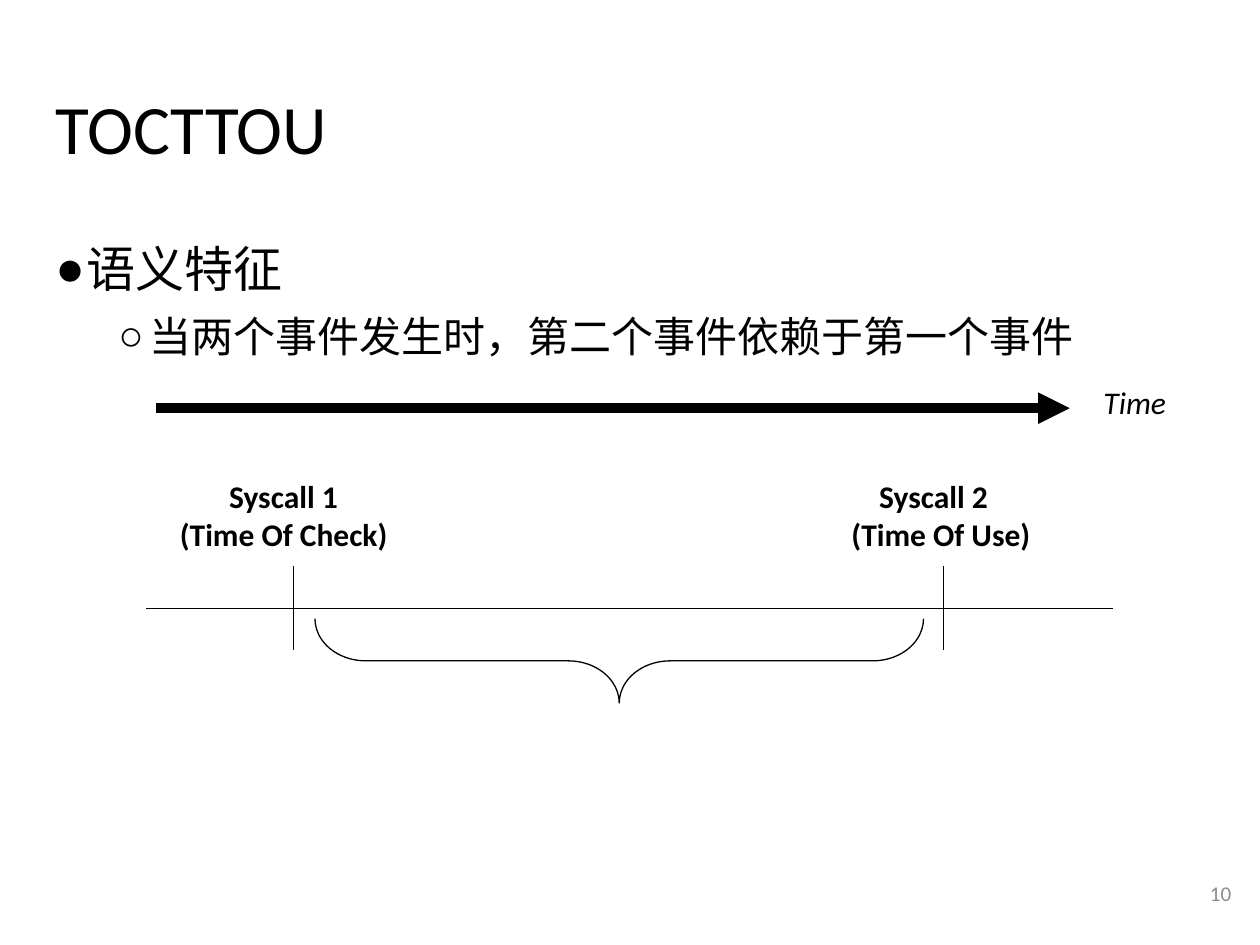
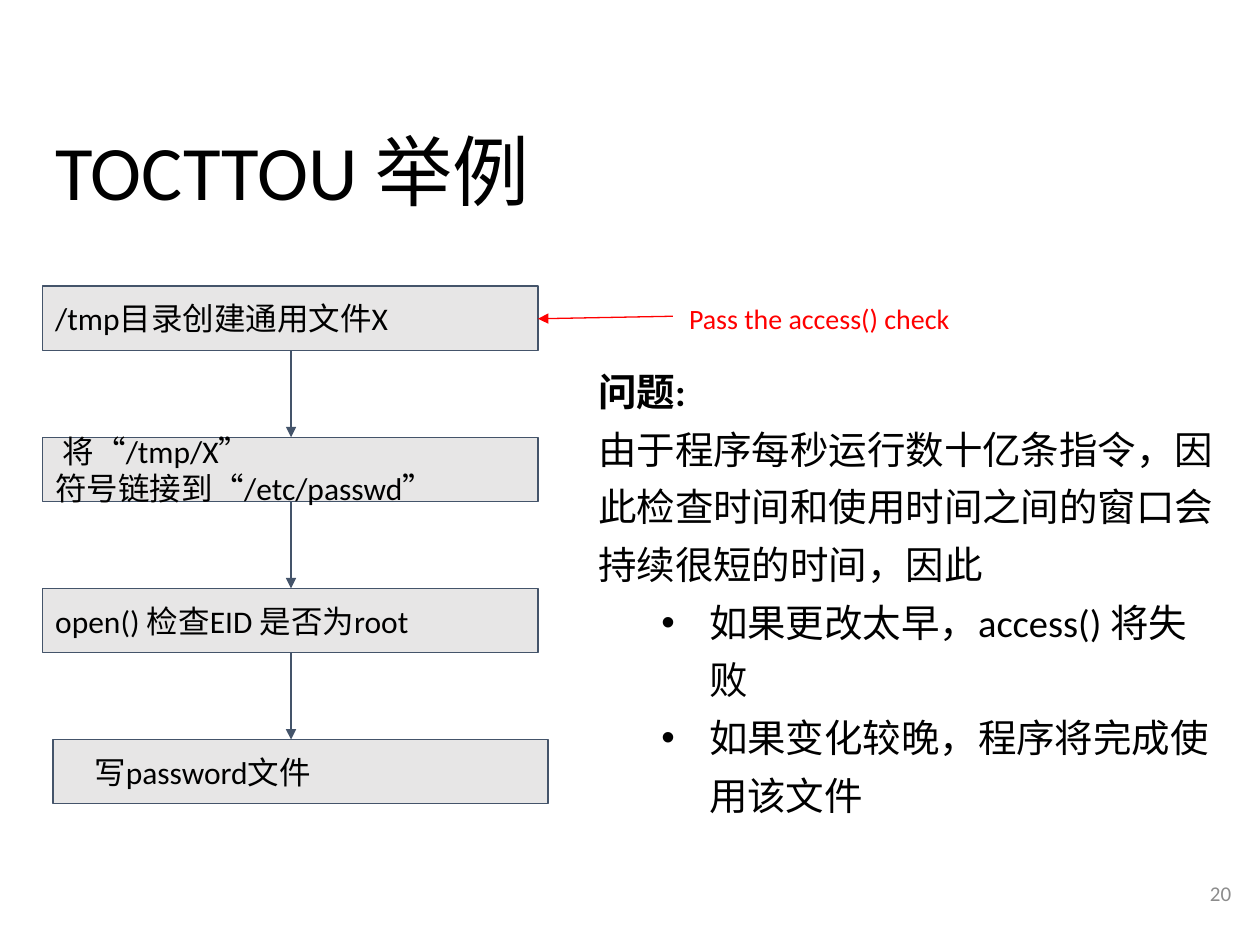
"""Build two slides on TOCTTOU: its semantics and a worked example."""
from itertools import pairwise

from pptx import Presentation
from pptx.dml.color import RGBColor as RGB
from pptx.enum.shapes import MSO_CONNECTOR as Link, MSO_SHAPE as Shape
from pptx.enum.text import MSO_ANCHOR as Anchor, MSO_AUTO_SIZE as Auto, PP_ALIGN as Align
from pptx.oxml.ns import qn
from pptx.util import Inches, Pt
from lxml.etree import SubElement as Sub

theme = {
    "font": "Calibri",
    "ink": RGB(0, 0, 0), "red": RGB(255, 0, 0), "edge": RGB(0x44, 0x54, 0x6A),
    "fill": RGB(0xE7, 0xE6, 0xE6), "page": RGB(0x8C, 0x8C, 0x8C),
    "head": 28, "point": 24, "prose": 22, "label": 18, "note": 16, "foot": 12,
}


def write(shape, rows, size, color="ink", pad=0.1, anchor=Anchor.TOP):
    """Fill a shape with rows of (text, format) pairs."""
    frame = shape.text_frame
    look = {"word_wrap": True, "auto_size": Auto.NONE, "vertical_anchor": anchor,
            "margin_left": Inches(0.1), "margin_right": Inches(0.1),
            "margin_top": Inches(pad), "margin_bottom": Inches(pad)}
    for key, value in look.items():
        setattr(frame, key, value)
    for i, (text, form) in enumerate(rows):
        para = frame.add_paragraph() if i else frame.paragraphs[0]
        para.text = text
        para.alignment = form.get("align", Align.LEFT)
        para.line_spacing = form.get("gap", 1.0)
        para.space_before = Pt(0)
        prop = para._p.get_or_add_pPr()
        left, first = form.get("dent", (0, 0))
        prop.set("marL", str(Inches(left)))
        prop.set("indent", str(Inches(first)))
        if "mark" in form:
            Sub(prop, qn("a:buFont"), typeface="Arial")
            Sub(prop, qn("a:buChar"), char=form["mark"])
        else:
            Sub(prop, qn("a:buNone"))
        face = {"name": theme["font"], "size": Pt(form.get("size", size)),
                "bold": form.get("bold", False), "italic": form.get("italic", False)}
        for run in para.runs:
            for key, value in face.items():
                setattr(run.font, key, value)
            run.font.color.rgb = theme[color]


def draw(slide, ends, color="ink", width=0.75, arrow=False):
    """Draw a straight line, with an arrowhead at its end if asked."""
    line = slide.shapes.add_connector(Link.STRAIGHT, *map(Inches, ends))
    line.line.color.rgb = theme[color]
    line.line.width = Pt(width)
    if arrow:
        Sub(line.line._get_or_add_ln(), qn("a:tailEnd"), type="triangle")
    Sub(line._element.spPr, qn("a:effectLst"))


deck = Presentation()
deck.slide_width, deck.slide_height = Inches(10), Inches(7.5)

slides = []
for name, top, high, size, page in [("TOCTTOU", 0.65, 0.84, 39.6, "10"),
                                    ("TOCTTOU 举例", 0.96, 0.63, 44, "20")]:
    slide = deck.slides.add_slide(deck.slide_layouts[5])
    title = slide.shapes.title
    place = {"left": 0.34, "top": top, "width": 9.32, "height": high}
    for key, value in place.items():
        setattr(title, key, Inches(value))
    write(title, [(name, {"gap": 0.9})], size)
    foot = slide.shapes.add_textbox(*map(Inches, (9.27, 6.8, 0.6, 0.57)))
    write(foot, [(page, {"align": Align.RIGHT})], theme["foot"], "page", anchor=Anchor.MIDDLE)
    slides.append(slide)
sense, case = slides

body = sense.shapes.add_textbox(*map(Inches, (0.34, 1.68, 9.32, 4.98)))
write(body, [
    ("语义特征", {"gap": 1.25, "dent": (0.25, -0.25), "mark": "●"}),
    ("当两个事件发生时，第二个事件依赖于第一个事件",
     {"gap": 1.25, "dent": (0.75, -0.25), "mark": "○", "size": theme["point"]}),
], theme["head"])

draw(sense, (1.16, 4.83, 8.83, 4.83))
for tick in (2.33, 7.49):
    draw(sense, (tick, 4.49, tick, 5.16))
draw(sense, (1.24, 3.24, 8.49, 3.24), width=6, arrow=True)

for text, form, spot in [
    ("Time", {"italic": True}, (8.66, 2.99, 1, 0.4)),
    ("Syscall 1\v(Time Of Check)", {"bold": True, "dent": (0, 0.39)}, (1.33, 3.74, 2, 0.7)),
    ("Syscall 2\v(Time Of Use)", {"bold": True, "dent": (0, 0.22)}, (6.66, 3.74, 1.83, 0.7)),
]:
    label = sense.shapes.add_textbox(*map(Inches, spot))
    write(label, [(text, form)], theme["label"], pad=0.05)

brace = sense.shapes.add_shape(Shape.LEFT_BRACE, *map(Inches, (4.58, 2.83, 0.67, 4.83)))
brace.rotation = 270
brace.adjustments[0] = 0.604
brace.shadow.inherit = False
brace.fill.background()
brace.line.color.rgb = theme["ink"]
brace.line.width = Pt(0.75)

steps = [("/tmp目录创建通用文件X", 0.34, 0),
         ("将“/tmp/X”\v符号链接到“/etc/passwd”", 0.34, 0.06),
         ("open() 检查EID 是否为root", 0.34, 0),
         ("写password文件", 0.42, 0.23)]
tops = [2.27 + 1.2 * i for i in range(len(steps))]
high = 0.51
for (text, left, dent), top in zip(steps, tops):
    box = case.shapes.add_shape(Shape.RECTANGLE, *map(Inches, (left, top, 3.93, high)))
    box.shadow.inherit = False
    box.fill.solid()
    box.fill.fore_color.rgb = theme["fill"]
    box.line.color.rgb = theme["edge"]
    box.line.width = Pt(0.75)
    write(box, [(text, {"dent": (0, dent)})], theme["label"], anchor=Anchor.MIDDLE)
for top, below in pairwise(tops):
    draw(case, (2.31, top + high, 2.31, below), "edge", arrow=True)

draw(case, (5.34, 2.51, 4.27, 2.53), "red", arrow=True)
note = case.shapes.add_textbox(*map(Inches, (5.37, 2.29, 2.61, 0.51)))
write(note, [("Pass the access() check", {})], theme["note"], "red")

point = {"gap": 1.25, "dent": (0.88, -0.38), "mark": "•"}
prose = case.shapes.add_textbox(*map(Inches, (4.65, 2.73, 5.1, 3.66)))
write(prose, [
    ("问题:", {"gap": 1.25, "bold": True}),
    ("由于程序每秒运行数十亿条指令，因此检查时间和使用时间之间的窗口会持续很短的时间，因此",
     {"gap": 1.25}),
    ("如果更改太早，access() 将失败", point),
    ("如果变化较晚，程序将完成使用该文件", point),
], theme["prose"])

deck.save("out.pptx")
